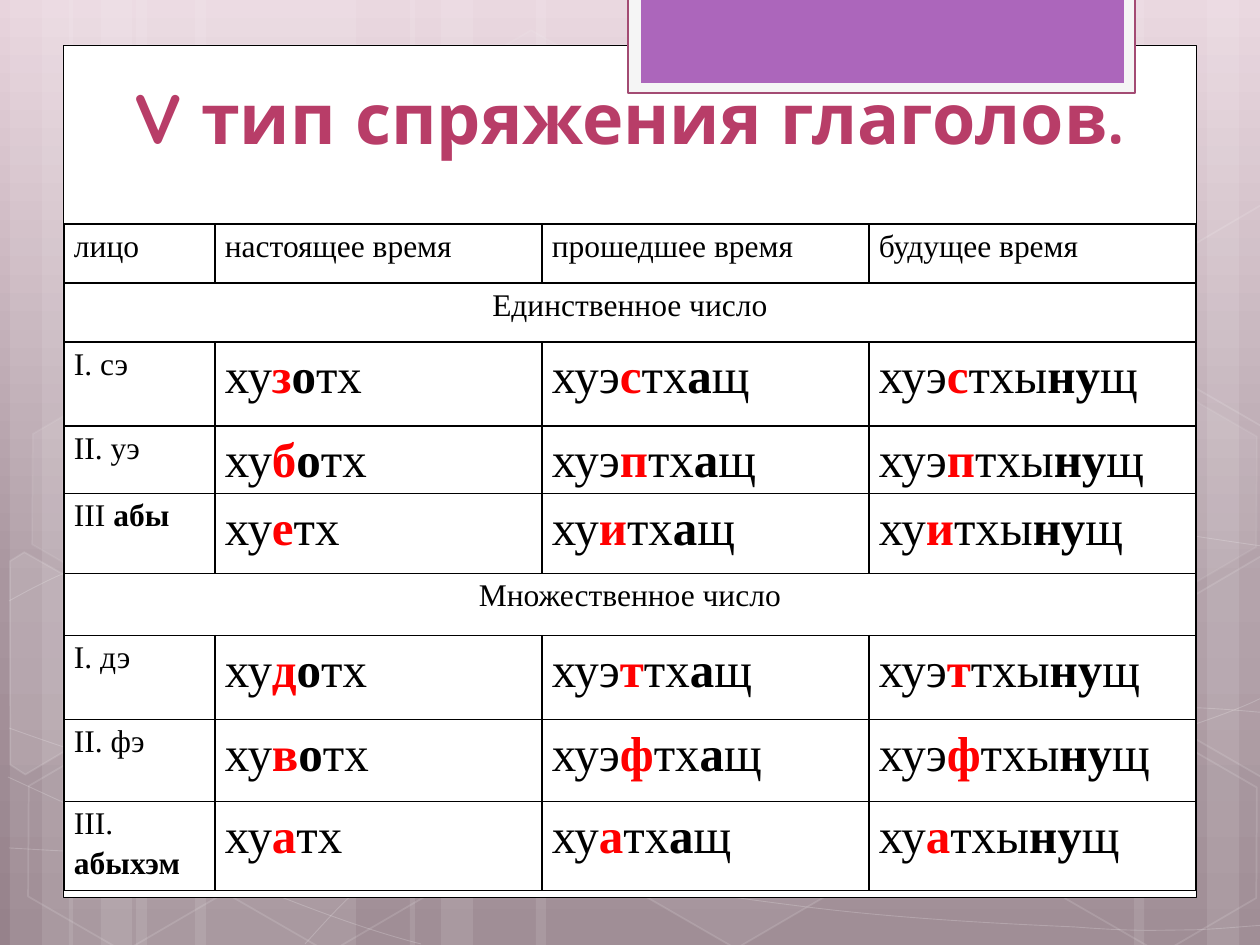
from dataclasses import dataclass
from math import cos, radians, sin
from lxml.etree import SubElement
from pptx import Presentation
from pptx.dml.color import RGBColor
from pptx.enum.shapes import MSO_SHAPE
from pptx.enum.text import MSO_ANCHOR, PP_ALIGN
from pptx.oxml import parse_xml
from pptx.oxml.ns import nsdecls, qn
from pptx.util import Pt


@dataclass
class Theme:
    white: str = "FFFFFF"
    black: str = "000000"
    red: str = "FF0000"
    rose: str = "B83D68"
    edge: str = "A34B73"
    pale: str = "F5F5F5"
    purple: str = "AC66BB"
    sky: tuple = ((0, "E8D4DD"), (62, "A9969F"), (100, "96828B"))
    head: str = "Quicksand"
    body: str = "Times New Roman"
    title: int = 40
    word: int = 28
    label: int = 18


theme = Theme()
SCALE = 914400 / 126


def px(*sizes):
    return [round(size * SCALE) for size in sizes]


def paint(shape, fill=None, line=None, width=1, clear=(100, 100)):
    """Set fill and line; clear holds the opacity of each in percent."""
    shape.shadow.inherit = False
    shape.line.width = Pt(width)
    for part, tone, alpha in zip((shape.fill, shape.line.fill), (fill, line), clear):
        if tone is None:
            part.background()
            continue
        part.solid()
        part.fore_color.rgb = RGBColor.from_string(tone)
        if alpha < 100:
            color = list(shape.element.iter(qn("a:srgbClr")))[-1]
            SubElement(color, qn("a:alpha"), val=str(alpha * 1000))


deck = Presentation()
deck.slide_width, deck.slide_height = px(1260, 945)
slide = deck.slides.add_slide(deck.slide_layouts[6])
shapes = slide.shapes

# Background gradient
back = slide.background.fill
back.gradient()
back.gradient_angle = 270
stops = next(slide.element.iter(qn("a:gsLst")))
for stop in list(stops):
    stops.remove(stop)
for place, tone in theme.sky:
    stop = SubElement(stops, qn("a:gs"), pos=str(place * 1000))
    SubElement(stop, qn("a:srgbClr"), val=tone)

# Light stripes: left, width, turn
stripes = [(136, 220, 0), (10, 63, 0), (42, 105, 0), (195, 220, 0), (69, 63, 0),
           (101, 105, 0), (924, 220, 180), (1207, 63, 180), (1134, 105, 180),
           (536, 388, 0), (410, 63, 0), (441, 105, 0)]
for left, width, turn in stripes:
    stripe = shapes.add_shape(MSO_SHAPE.RECTANGLE, *px(left, 0, width, 945))
    stripe.rotation = turn
    paint(stripe, theme.white, clear=(10, 100))

# Thin curves: a start point, then two handles and an end per Bezier piece
curves = [
    [(9, 848), (77, 852), (145, 856), (239, 854), (334, 853), (451, 851), (577, 838),
     (703, 825), (882, 801), (998, 777), (1113, 753), (1231, 716), (1269, 694)],
    [(9, 601), (45, 581), (82, 562), (152, 543), (224, 524), (326, 496), (437, 488),
     (549, 479), (685, 478), (824, 488), (963, 498), (1193, 537), (1269, 547)],
    [(8, 777), (160, 847), (311, 916), (421, 944)],
    [(9, 728), (48, 742), (88, 756), (161, 776), (234, 795), (344, 827), (450, 848),
     (554, 869), (687, 892), (791, 905), (896, 919), (1008, 924), (1075, 927),
     (1140, 932), (1158, 930), (1191, 930), (1223, 929), (1246, 926), (1269, 925)],
    [(305, 944), (328, 919), (350, 893), (381, 871), (411, 848), (454, 823), (489, 805),
     (524, 788), (546, 780), (592, 767), (638, 755), (722, 737), (766, 728),
     (811, 719), (818, 719), (857, 717), (896, 713), (958, 709), (1000, 708),
     (1044, 707), (1116, 708), (1116, 708), (1144, 708), (1173, 708), (1201, 708),
     (1223, 709), (1245, 711), (1256, 712), (1268, 713), (1264, 712), (1268, 713)],
]
for knots in curves:
    pen = shapes.build_freeform(*knots[0], scale=SCALE)
    pen.add_line_segments(knots[1:], close=False)
    curve = pen.convert_to_shape()
    route = next(curve.element.iter(qn("a:path")))
    legs = route.findall(qn("a:lnTo"))
    for i in range(0, len(legs), 3):
        bend = SubElement(route, qn("a:cubicBezTo"))
        for leg in legs[i:i + 3]:
            bend.append(leg[0])
            route.remove(leg)
    paint(curve, None, theme.white, 0.5, (100, 20))

# Hexagons, whole and cut by the slide edge: fill and line opacity come last
TURN = 30
cells = [(421, 45, 4, 8), (626, 742, 6, 12), (14, 745, 0, 12), (18, 393, 7, 8),
         (219, 746, 0, 12), (949, 571, 10, 12), (1051, 747, 0, 12), (1051, 396, 7, 8)]
for left, top, *clear in cells:
    hexagon = shapes.add_shape(MSO_SHAPE.HEXAGON, *px(left, top, 220, 192))
    hexagon.adjustments[0] = 0.285
    hexagon.rotation = TURN
    paint(hexagon, theme.white if clear[0] else None, theme.white, 1, clear)

# Corners as they lie on the slide, measured from the centre of the turn
east = [(-74, -44), (20, -99), (30, -93), (30, 117), (21, 122), (-74, 67)]
west = [(-35, -113), (-21, -122), (76, -67), (75, 44), (-20, 100), (-35, 91)]
cuts = [(45, 674, west, 10), (1241, 655, east, 4), (1241, 304, east, 0)]
c, s = cos(radians(TURN)), sin(radians(TURN))
for x, y, corners, alpha in cuts:
    dots = [(x + a * c + b * s, y - a * s + b * c) for a, b in corners]
    pen = shapes.build_freeform(*dots[0], scale=SCALE)
    pen.add_line_segments(dots[1:], close=True)
    cut = pen.convert_to_shape()
    cut.rotation = TURN
    paint(cut, theme.white if alpha else None, theme.white, 1, (alpha, 12))

# White page and the tab at its top
panels = [((63, 45, 1134, 853), theme.white, theme.black, 0.5),
          ((628, -3, 507, 96), theme.pale, theme.edge, 1.25),
          ((641, -3, 483, 86), theme.purple, None, 1)]
for box, *look in panels:
    paint(shapes.add_shape(MSO_SHAPE.RECTANGLE, *px(*box)), *look)

# Title
frame = shapes.add_textbox(*px(64, 45, 1132, 120)).text_frame
frame.word_wrap = True
frame.vertical_anchor = MSO_ANCHOR.BOTTOM
para = frame.paragraphs[0]
para.alignment = PP_ALIGN.CENTER
run = para.add_run()
run.text = "V тип спряжения глаголов."
run.font.name, run.font.size, run.font.bold = theme.head, Pt(theme.title), True
run.font.color.rgb = RGBColor.from_string(theme.rose)

# Verb forms: label lines, then the marker and vowel of the present,
# then the stem and marker of the past and future
# Each run is its text and a mark: "" plain, "b" bold, "r" bold red
single = [([[("I. сэ", "")]], "з", "о", "хуэ", "с"),
          ([[("II. уэ", "")]], "б", "о", "хуэ", "п"),
          ([[("III ", ""), ("абы", "b")]], "е", "", "ху", "и")]
plural = [([[("I. дэ", "")]], "д", "о", "хуэ", "т"),
          ([[("II. фэ", "")]], "в", "о", "хуэ", "ф"),
          ([[("III. ", "")], [("абыхэм", "b")]], "а", "", "ху", "а")]
heads = ["лицо", "настоящее время", "прошедшее время", "будущее время"]
rows = [[[[(head, "")]] for head in heads]]
for name, group in (("Единственное число", single), ("Множественное число", plural)):
    rows.append([[[(name, "")]]])
    for label, now, vowel, stem, mark in group:
        present = [("ху", ""), (now, "r"), (vowel, "b"), ("тх", "")]
        past = [(stem, ""), (mark, "r"), ("тх", ""), ("а", "b"), ("щ", "")]
        future = [(stem, ""), (mark, "r"), ("тхы", ""), ("ну", "b"), ("щ", "")]
        rows.append([label, [present], [past], [future]])

widths = [151, 327, 327, 327]
heights = [59, 59, 84, 65, 80, 62, 84, 82, 89]
grid = shapes.add_table(len(rows), len(widths),
                        *px(64, 224, sum(widths), sum(heights)))
table = grid.table
table.first_row = table.horz_banding = False
for column, width in zip(table.columns, px(*widths)):
    column.width = width
for line, height in zip(table.rows, px(*heights)):
    line.height = height

for r, row in enumerate(rows):
    wide = len(row) == 1
    if wide:
        table.cell(r, 0).merge(table.cell(r, 3))
    for col, lines in enumerate(row):
        cell = table.cell(r, col)
        cell.margin_left, cell.margin_right = px(10, 10)
        cell.margin_top = cell.margin_bottom = 0
        size = theme.word if r and col else theme.label
        for i, runs in enumerate(lines):
            para = cell.text_frame.add_paragraph() if i else cell.text_frame.paragraphs[0]
            para.alignment = PP_ALIGN.CENTER if wide else PP_ALIGN.JUSTIFY
            para.line_spacing = 1.15
            for text, mark in runs:
                if not text:
                    continue
                run = para.add_run()
                run.text = text
                run.font.name, run.font.size = theme.body, Pt(size)
                run.font.bold = mark != ""
                tone = theme.red if mark == "r" else theme.black
                run.font.color.rgb = RGBColor.from_string(tone)

for cell in table.iter_cells():
    cell.fill.background()
for tc in grid.element.iter(qn("a:tc")):
    for i, side in enumerate("LRTB"):
        tc.get_or_add_tcPr().insert(i, parse_xml(
            f'<a:ln{side} w="12700" {nsdecls("a")}><a:solidFill>'
            f'<a:srgbClr val="{theme.black}"/></a:solidFill></a:ln{side}>'))

deck.save("out.pptx")
